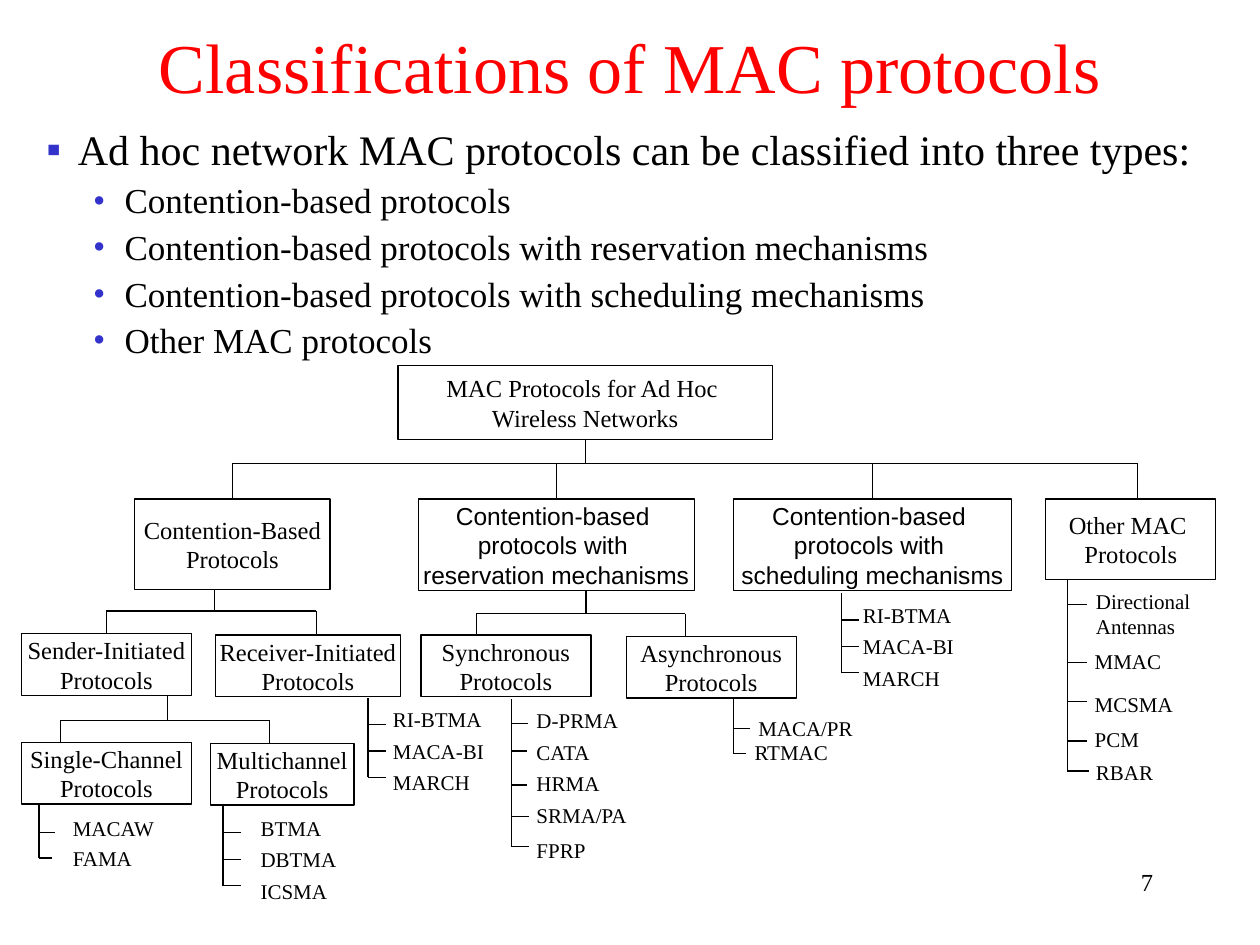
from lxml.etree import SubElement
from pptx import Presentation
from pptx.dml.color import RGBColor
from pptx.enum.shapes import MSO_CONNECTOR, MSO_SHAPE
from pptx.enum.text import MSO_ANCHOR, PP_ALIGN
from pptx.oxml.ns import qn
from pptx.util import Inches, Pt

COLORS = {"ink": "000000", "paper": "FFFFFF", "title": "FF0000", "bullet": "3333CC"}
SERIF, SANS = "Times New Roman", "Arial"
TOP, BOTTOM = 0, 2


def color(name):
    return RGBColor.from_string(COLORS[name])


class SlideBuilder:
    """Holds the style and the current slide."""

    def __init__(self, slide):
        self.slide = slide
        self.shapes = slide.shapes

    def add_span(self, para, text, size, font=SERIF, ink="ink"):
        span = para.add_run()
        span.text = text
        span.font.size = Pt(size)
        span.font.name = font
        span.font.color.rgb = color(ink)

    def add_title(self, text, left, top, width, height):
        title = self.shapes.title
        title.left, title.top = Inches(left), Inches(top)
        title.width, title.height = Inches(width), Inches(height)
        title.text_frame.vertical_anchor = MSO_ANCHOR.MIDDLE
        para = title.text_frame.paragraphs[0]
        para.alignment = PP_ALIGN.CENTER
        self.add_span(para, text, 40, ink="title")

    def add_text(self, lines, left, top, width, height, size=12, align=PP_ALIGN.LEFT):
        box = self.shapes.add_textbox(*map(Inches, (left, top, width, height)))
        box.text_frame.word_wrap = True
        para = box.text_frame.paragraphs[0]
        para.alignment = align
        for index, line in enumerate(lines.split("\n")):
            if index:
                para.add_line_break()
            self.add_span(para, line, size)

    def add_bullets(self, items, left, top, width, height):
        box = self.shapes.add_textbox(*map(Inches, (left, top, width, height)))
        frame = box.text_frame
        frame.word_wrap = True
        for index, (level, text) in enumerate(items):
            para = frame.add_paragraph() if index else frame.paragraphs[0]
            para.level = level
            para.line_spacing = 0.9
            para.space_before = Pt(5 if index else 0)
            size, indent, mark = ((24, 0.25, "▪"), (20, 0.62, "•"))[level]
            props = para._p.get_or_add_pPr()
            props.set("marL", str(Inches(indent)))
            props.set("indent", str(Inches(-0.25)))
            bullet_color = SubElement(props, qn("a:buClr"))
            SubElement(bullet_color, qn("a:srgbClr"), val=COLORS["bullet"])
            SubElement(props, qn("a:buFont"), typeface=SERIF)
            SubElement(props, qn("a:buChar"), char=mark)
            self.add_span(para, text, size)

    def add_node(self, lines, left, top, width, height, font=SERIF):
        node = self.shapes.add_shape(
            MSO_SHAPE.RECTANGLE, *map(Inches, (left, top, width, height)))
        node.shadow.inherit = False
        node.fill.solid()
        node.fill.fore_color.rgb = color("paper")
        node.line.color.rgb = color("ink")
        node.line.width = Pt(0.75)
        frame = node.text_frame
        frame.word_wrap = False
        frame.vertical_anchor = MSO_ANCHOR.MIDDLE
        for index, line in enumerate(lines):
            para = frame.add_paragraph() if index else frame.paragraphs[0]
            para.alignment = PP_ALIGN.CENTER
            self.add_span(para, line, 14, font)
        return node

    def add_line(self, x1, y1, x2, y2):
        line = self.shapes.add_connector(
            MSO_CONNECTOR.STRAIGHT, *map(Inches, (x1, y1, x2, y2)))
        line.line.color.rgb = color("ink")
        line.line.width = Pt(0.75)
        SubElement(line._element.spPr, qn("a:effectLst"))
        return line

    def add_branch(self, parent, stem_x, bar_y, children):
        """Stem, bar and drops; an x of None means the middle of the node."""
        def place(node, x):
            return (node.left + node.width / 2) / Inches(1) if x is None else x

        x = place(parent, stem_x)
        stem = self.add_line(x, (parent.top + parent.height) / Inches(1), x, bar_y)
        if stem_x is None:
            stem.begin_connect(parent, BOTTOM)
        drops = [place(node, drop_x) for node, drop_x in children]
        self.add_line(drops[0], bar_y, drops[-1], bar_y)
        for x, (node, drop_x) in zip(drops, children):
            drop = self.add_line(x, bar_y, x, node.top / Inches(1))
            if drop_x is None:
                drop.end_connect(node, TOP)

    def add_leaves(self, trunk_x, top, leaves):
        """Trunk with one tick and one label for each leaf."""
        self.add_line(trunk_x, top, trunk_x, leaves[-1][2])
        for text, tick_x, tick_y, left, label_top in leaves:
            self.add_line(trunk_x, tick_y, tick_x, tick_y)
            self.add_text(text, left, label_top, 0.96, 0.5 if "\n" in text else 0.3)


def main():
    deck = Presentation()
    deck.slide_width, deck.slide_height = Inches(10), Inches(7.5)
    page = SlideBuilder(deck.slides.add_slide(deck.slide_layouts[5]))

    # Title, bullets and page number
    page.add_title("Classifications of MAC protocols", 0, 0.22, 10, 0.6)
    page.add_bullets([
        (0, "Ad hoc network MAC protocols can be classified into three types:"),
        (1, "Contention-based protocols"),
        (1, "Contention-based protocols with reservation mechanisms"),
        (1, "Contention-based protocols with scheduling mechanisms"),
        (1, "Other MAC protocols"),
    ], 0.27, 0.98, 9.47, 1.96)
    page.add_text("7", 7.17, 6.83, 2.08, 0.5, 14, PP_ALIGN.RIGHT)

    # Tree nodes
    root = page.add_node(["MAC Protocols for Ad Hoc ", "Wireless Networks"],
                         3.16, 2.9, 2.97, 0.59)
    contention = page.add_node(["Contention-Based", "Protocols"], 1.07, 3.96, 1.55, 0.72)
    reservation, scheduling = [
        page.add_node(["Contention-based ", "protocols with ", f"{kind} mechanisms"],
                      left, 3.96, width, 0.73, SANS)
        for kind, left, width in (("reservation", 3.32, 2.19), ("scheduling", 5.82, 2.21))]
    other = page.add_node(["Other MAC ", "Protocols"], 8.3, 3.96, 1.35, 0.64)
    sender, receiver, synchronous, asynchronous, single, multi = [
        page.add_node([name, "Protocols"], left, top, width, 0.49)
        for name, left, top, width in (
            ("Sender-Initiated", 0.17, 5.03, 1.35),
            ("Receiver-Initiated", 1.71, 5.04, 1.47),
            ("Synchronous", 3.34, 5.04, 1.35),
            ("Asynchronous", 4.97, 5.05, 1.35),
            ("Single-Channel", 0.17, 5.89, 1.35),
            ("Multichannel", 1.67, 5.9, 1.14))]

    # Branches
    page.add_branch(root, None, 3.68, [
        (contention, None), (reservation, None), (scheduling, None), (other, 9.03)])
    page.add_branch(contention, 1.7, 4.85, [(sender, None), (receiver, 2.51)])
    page.add_branch(reservation, 4.65, 4.87, [(synchronous, 3.78), (asynchronous, 5.44)])
    page.add_branch(sender, 1.33, 5.72, [(single, 0.48), (multi, 2.14)])

    # Leaves: text, tick end, tick height, label left, label top
    page.add_leaves(0.31, 6.39, [
        ("MACAW", 0.44, 6.61, 0.48, 6.42), ("FAMA", 0.41, 6.81, 0.48, 6.66)])
    page.add_leaves(5.82, 5.55, [
        ("MACA/PR", 5.95, 5.78, 5.92, 5.63), ("RTMAC", 5.92, 5.98, 5.89, 5.82)])
    for names, trunk_x, top, left in (
            (("BTMA", "DBTMA", "ICSMA"), 1.77, 6.4, 1.97),
            (("RI-BTMA", "MACA-BI", "MARCH"), 2.92, 5.54, 3.02),
            (("RI-BTMA", "MACA-BI", "MARCH"), 6.68, 4.71, 6.75)):
        page.add_leaves(trunk_x, top, [
            (name, trunk_x + 0.14, top + 0.21 * (row + 1), left, top + 0.02 + 0.25 * row)
            for row, name in enumerate(names)])
    page.add_leaves(4.06, 5.55, [
        ("D-PRMA", 4.19, 5.74, 4.16, 5.57), ("CATA", 4.18, 5.96, 4.16, 5.82),
        ("HRMA", 4.18, 6.23, 4.16, 6.07), ("SRMA/PA", 4.2, 6.48, 4.16, 6.32),
        ("FPRP", 4.2, 6.72, 4.16, 6.6)])
    page.add_leaves(8.47, 4.6, [
        ("Directional\nAntennas", 8.63, 4.8, 8.6, 4.62), ("MMAC", 8.63, 5.26, 8.59, 5.1),
        ("MCSMA", 8.63, 5.57, 8.59, 5.44), ("PCM", 8.63, 5.88, 8.59, 5.72),
        ("RBAR", 8.64, 6.12, 8.6, 5.98)])

    deck.save("out.pptx")


if __name__ == "__main__":
    main()
